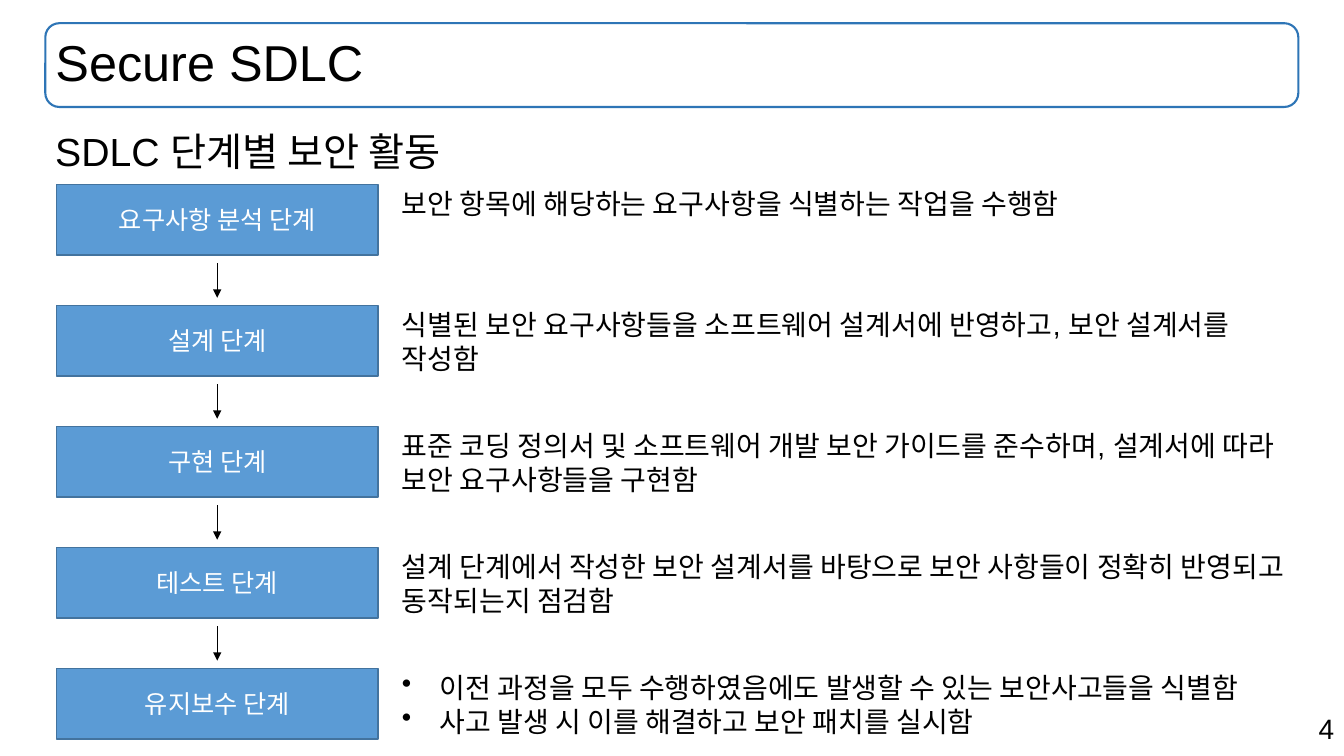
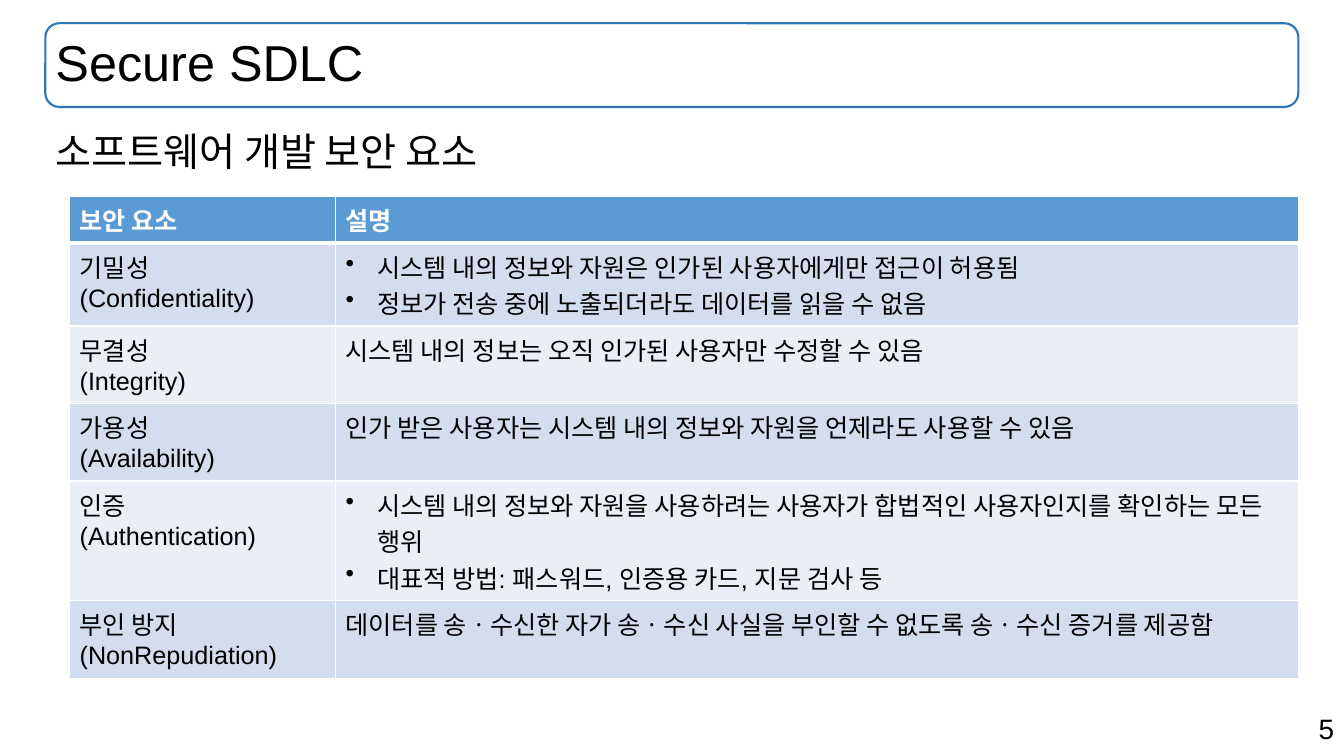
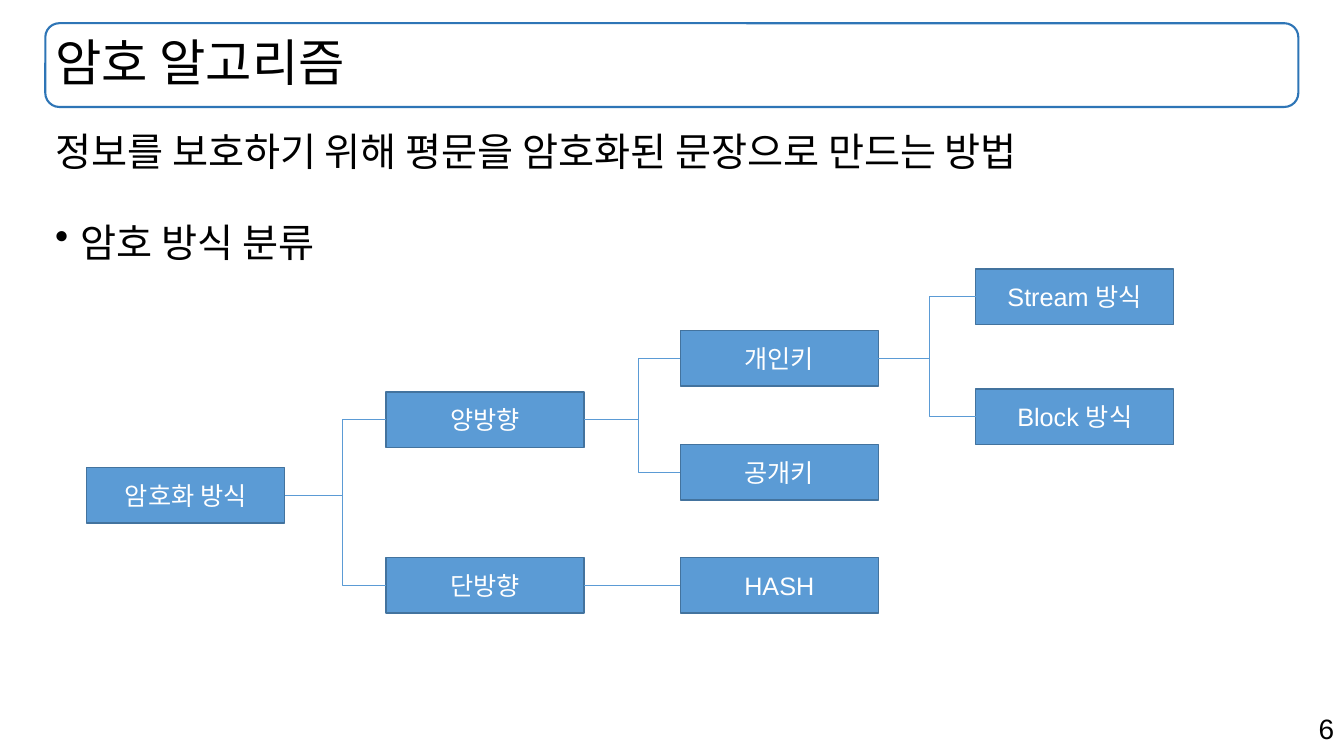
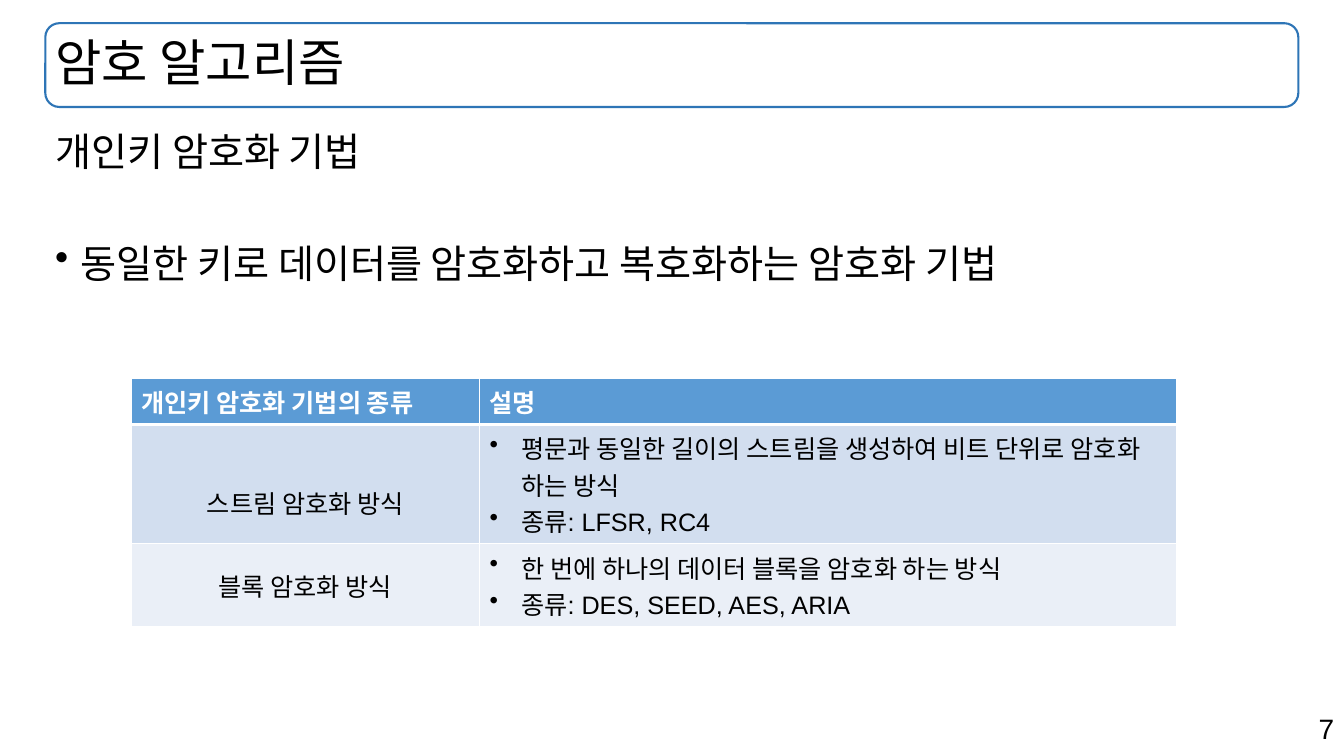
from lxml import etree
from pptx import Presentation
from pptx import util as u
from pptx.dml.color import RGBColor
from pptx.enum import shapes, text
from pptx.oxml import ns

Pt = u.Pt
FONT = "Arial"
BLACK = RGBColor(0x00, 0x00, 0x00)
WHITE = RGBColor(0xFF, 0xFF, 0xFF)
BLUE = RGBColor(0x5B, 0x9B, 0xD5)
BOX_EDGE = RGBColor(0x43, 0x73, 0x9E)
BAND_EDGE = RGBColor(0x2E, 0x75, 0xB6)
ROW_FILLS = (RGBColor(0xD2, 0xDE, 0xEF), RGBColor(0xEA, 0xEF, 0xF7))
BAND = (32.4, 16.6, 895, 59.8)
LEFT, TOP, WIDTH, HEIGHT = range(4)

STAGES = [
    ("요구사항 분석 단계", ["보안 항목에 해당하는 요구사항을 식별하는 작업을 수행함"]),
    ("설계 단계", ["식별된 보안 요구사항들을 소프트웨어 설계서에 반영하고, 보안 설계서를 작성함"]),
    ("구현 단계", ["표준 코딩 정의서 및 소프트웨어 개발 보안 가이드를 준수하며, 설계서에 따라 보안 요구사항들을 구현함"]),
    ("테스트 단계", ["설계 단계에서 작성한 보안 설계서를 바탕으로 보안 사항들이 정확히 반영되고 동작되는지 점검함"]),
    ("유지보수 단계", ["이전 과정을 모두 수행하였음에도 발생할 수 있는 보안사고들을 식별함",
                 "사고 발생 시 이를 해결하고 보안 패치를 실시함"]),
]

ELEMENTS = [
    (["보안 요소"], ["설명"]),
    (["기밀성", "(Confidentiality)"],
     ["시스템 내의 정보와 자원은 인가된 사용자에게만 접근이 허용됨",
      "정보가 전송 중에 노출되더라도 데이터를 읽을 수 없음"]),
    (["무결성", "(Integrity)"], ["시스템 내의 정보는 오직 인가된 사용자만 수정할 수 있음"]),
    (["가용성", "(Availability)"], ["인가 받은 사용자는 시스템 내의 정보와 자원을 언제라도 사용할 수 있음"]),
    (["인증", "(Authentication)"],
     ["시스템 내의 정보와 자원을 사용하려는 사용자가 합법적인 사용자인지를 확인하는 모든 행위",
      "대표적 방법: 패스워드, 인증용 카드, 지문 검사 등"]),
    (["부인 방지", "(NonRepudiation)"],
     ["데이터를 송ㆍ수신한 자가 송ㆍ수신 사실을 부인할 수 없도록 송ㆍ수신 증거를 제공함"]),
]

CIPHERS = [
    (["개인키 암호화 기법의 종류"], ["설명"]),
    (["스트림 암호화 방식"],
     ["평문과 동일한 길이의 스트림을 생성하여 비트 단위로 암호화 하는 방식", "종류: LFSR, RC4"]),
    (["블록 암호화 방식"],
     ["한 번에 하나의 데이터 블록을 암호화 하는 방식", "종류: DES, SEED, AES, ARIA"]),
]

# name: (left, top) of each box in the cipher tree
TREE = {
    "암호화 방식": (62, 334), "양방향": (275.8, 280), "단방향": (275.8, 398.2),
    "개인키": (486, 236.2), "공개키": (486, 317.5), "HASH": (486, 398.2),
    "Stream 방식": (697, 192.2), "Block 방식": (697, 277.9),
}
# parent, children, x of the vertical trunk
BRANCHES = [
    ("암호화 방식", ("양방향", "단방향"), 244.8),
    ("양방향", ("개인키", "공개키"), 455.8),
    ("개인키", ("Stream 방식", "Block 방식"), 663.8),
]


def pts(values):
    return [Pt(v) for v in values]


def write(p, words, size, color=BLACK, bold=False, bullet=0, **layout):
    """Fill a paragraph; bullet is its hanging indent, layout its attributes."""
    if bullet:
        pPr = p._p.get_or_add_pPr()
        pPr.set("marL", str(Pt(bullet)))
        pPr.set("indent", str(-Pt(bullet)))
        etree.SubElement(pPr, ns.qn("a:buChar")).set("char", "•")
    for name, value in layout.items():
        setattr(p, name, value)
    r = p.add_run()
    r.text = words
    for name, value in dict(name=FONT, size=Pt(size), bold=bold).items():
        setattr(r.font, name, value)
    r.font.color.rgb = color


def next_paragraph(tf, index):
    return tf.add_paragraph() if index else tf.paragraphs[0]


def add_text(s, place, lines, size, **style):
    tf = s.shapes.add_textbox(*pts(place)).text_frame
    tf.word_wrap = True
    for i, words in enumerate(lines):
        write(next_paragraph(tf, i), words, size, **style)
    return tf


def add_outlined(s, kind, place, edge, width, fill=None):
    sp = s.shapes.add_shape(kind, *pts(place))
    sp.shadow.inherit = False
    if fill is None:
        sp.fill.background()
    else:
        sp.fill.solid()
        sp.fill.fore_color.rgb = fill
    sp.line.color.rgb = edge
    sp.line.width = Pt(width)
    return sp


def add_box(s, place, words):
    sp = add_outlined(s, shapes.MSO_SHAPE.RECTANGLE, place, BOX_EDGE, 1, BLUE)
    sp.text_frame.vertical_anchor = text.MSO_ANCHOR.MIDDLE
    write(sp.text_frame.paragraphs[0], words, 18, WHITE, alignment=text.PP_ALIGN.CENTER)
    return sp


def add_line(s, ends=(0, 0, 0, 0), color=BLUE, kind=shapes.MSO_CONNECTOR.STRAIGHT):
    line = s.shapes.add_connector(kind, *pts(ends))
    line.line.color.rgb = color
    line.line.width = Pt(0.5)
    etree.SubElement(line._element.spPr, ns.qn("a:effectLst"))
    return line


def add_arrow(s, ends):
    arrow = add_line(s, ends, BLACK)
    etree.SubElement(arrow.line._get_or_add_ln(), ns.qn("a:tailEnd")).set("type", "triangle")


def join(s, parent, child, trunk=None):
    """Link two boxes; with a trunk x the link bends there."""
    kind = shapes.MSO_CONNECTOR.STRAIGHT if trunk is None else shapes.MSO_CONNECTOR.ELBOW
    line = add_line(s, kind=kind)
    line.begin_connect(parent, 3)
    line.end_connect(child, 1)
    if trunk is not None:
        start = parent.left + parent.width
        share = round((Pt(trunk) - start) / (child.left - start) * 100000)
        guides = line._element.spPr.prstGeom.get_or_add_avLst()
        guide = etree.SubElement(guides, ns.qn("a:gd"))
        guide.set("name", "adj1")
        guide.set("fmla", f"val {share}")


def set_borders(cell, bottom):
    tcPr = cell._tc.get_or_add_tcPr()
    for index, (side, width) in enumerate((("L", 1), ("R", 1), ("T", 1), ("B", bottom))):
        ln = etree.Element(ns.qn(f"a:ln{side}"), w=str(Pt(width)))
        fill = etree.SubElement(ln, ns.qn("a:solidFill"))
        etree.SubElement(fill, ns.qn("a:srgbClr")).set("val", str(WHITE))
        tcPr.insert(index, ln)


def add_grid(s, left, top, widths, heights, rows, label_spacing=None):
    """Table with a header row; label_spacing centres the first column."""
    place = pts((left, top, sum(widths), sum(heights)))
    table = s.shapes.add_table(len(rows), len(widths), *place).table
    for column, width in zip(table.columns, widths):
        column.width = Pt(width)
    for r, (height, row) in enumerate(zip(heights, rows)):
        table.rows[r].height = Pt(height)
        for c, lines in enumerate(row):
            cell = table.cell(r, c)
            cell.fill.solid()
            cell.fill.fore_color.rgb = ROW_FILLS[(r - 1) % 2] if r else BLUE
            set_borders(cell, 1 if r else 3)
            for i, words in enumerate(lines):
                style = {} if words.startswith("(") else dict(line_spacing=Pt(26))
                if r == 0:
                    style.update(color=WHITE, bold=True)
                elif c == 0 and label_spacing:
                    style.update(alignment=text.PP_ALIGN.CENTER,
                                 line_spacing=Pt(label_spacing[r - 1]))
                elif c == 1 and len(lines) > 1:
                    style["bullet"] = 22.5
                write(next_paragraph(cell.text_frame, i), words, 18, **style)


def new_slide(prs, number, title, heading, point=None, gap=0):
    """Slide with page number, title band, heading and an optional bullet."""
    s = prs.slides.add_slide(prs.slide_layouts[5])
    add_text(s, (679, 504.7, 281, 31.5), [str(number)], 20, alignment=text.PP_ALIGN.RIGHT)
    add_outlined(s, shapes.MSO_SHAPE.ROUNDED_RECTANGLE, BAND, BAND_EDGE, 1.5)
    sp = s.shapes.title
    for name, value in zip(("left", "top", "width", "height"), pts(BAND)):
        setattr(sp, name, value)
    tf = sp.text_frame
    for name, value in dict(word_wrap=True, auto_size=text.MSO_AUTO_SIZE.NONE,
                            vertical_anchor=text.MSO_ANCHOR.MIDDLE).items():
        setattr(tf, name, value)
    write(tf.paragraphs[0], title, 36, alignment=text.PP_ALIGN.LEFT, line_spacing=0.9)
    body = add_text(s, (BAND[LEFT], 90.7, BAND[WIDTH], 42.5), [heading], 28,
                    line_spacing=Pt(30))
    if point:
        write(body.add_paragraph(), point, 28, bullet=18,
              line_spacing=Pt(30), space_before=Pt(gap))
    return s


def add_stages(s):
    left, top, width, height, step = 40.3, 131.8, 229.7, 50.4, 86.4
    middle = left + width / 2
    for i, (name, lines) in enumerate(STAGES):
        y = top + i * step
        add_box(s, (left, y, width, height), name)
        add_text(s, (280, y - 2, 660 if len(lines) > 1 else 647, 55.4), lines, 20,
                 bullet=27 if len(lines) > 1 else 0, line_spacing=Pt(24))
        if i:
            add_arrow(s, (middle, y - 30, middle, y - 5.5))


def add_tree(s):
    boxes = {name: add_box(s, (*corner, 141.4, 39.6), name) for name, corner in TREE.items()}
    for parent, children, trunk in BRANCHES:
        for child in children:
            join(s, boxes[parent], boxes[child], trunk)
    join(s, boxes["단방향"], boxes["HASH"])


def main():
    prs = Presentation()
    prs.slide_width, prs.slide_height = pts((960, 540))

    add_stages(new_slide(prs, 4, "Secure SDLC", "SDLC 단계별 보안 활동"))

    s = new_slide(prs, 5, "Secure SDLC", "소프트웨어 개발 보안 요소")
    add_grid(s, 49.7, 140.4, (190, 687.6), (32.4, 59.2, 55.4, 55.4, 85.4, 55.4), ELEMENTS)

    s = new_slide(prs, 6, "암호 알고리즘", "정보를 보호하기 위해 평문을 암호화된 문장으로 만드는 방법",
                  "암호 방식 분류", 35)
    add_tree(s)

    s = new_slide(prs, 7, "암호 알고리즘", "개인키 암호화 기법",
                  "동일한 키로 데이터를 암호화하고 복호화하는 암호화 기법", 50)
    add_grid(s, 93.6, 270, (249, 498.2), (33.2, 85.2, 59.2), CIPHERS, (65, 39))

    prs.save("out.pptx")


if __name__ == "__main__":
    main()
